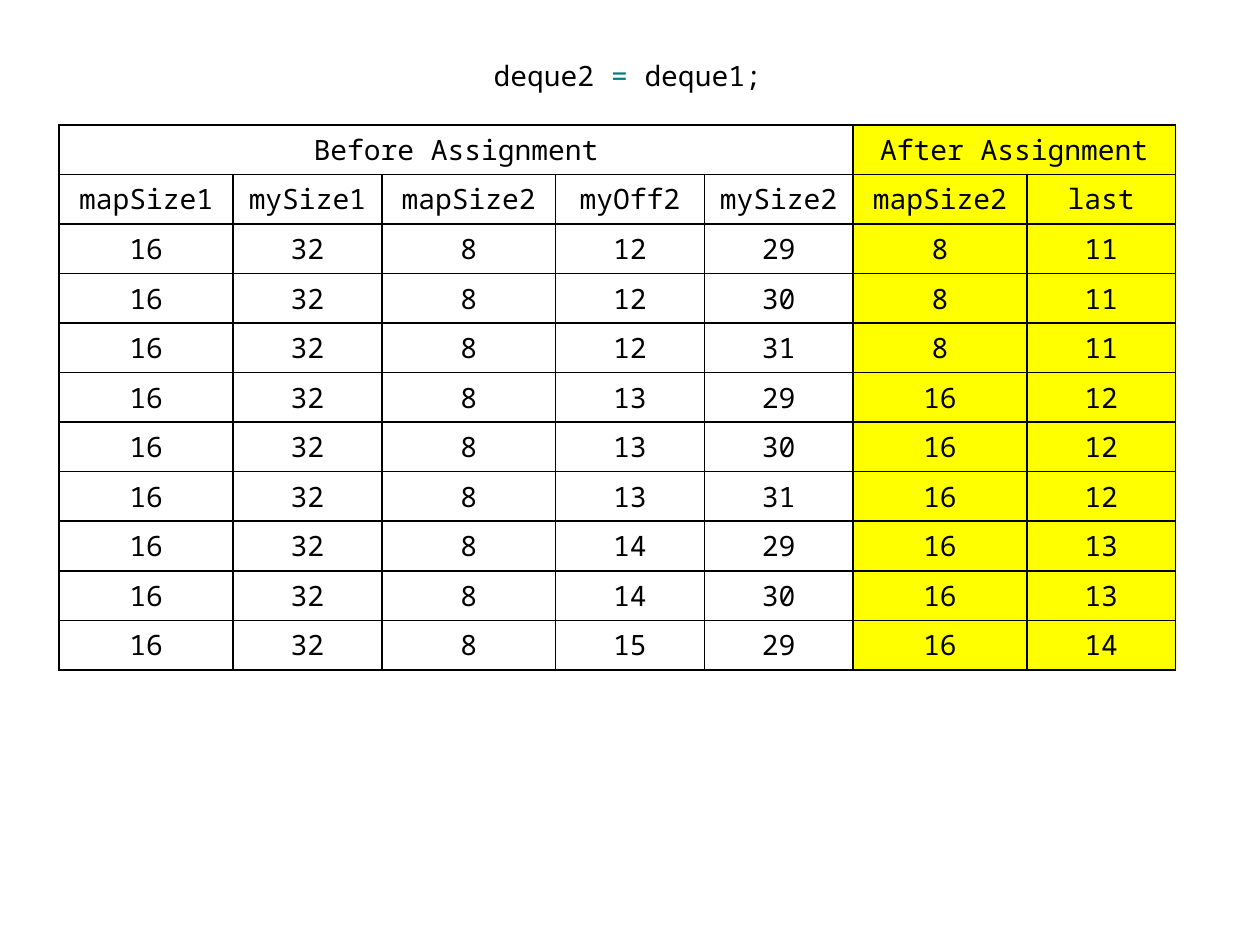
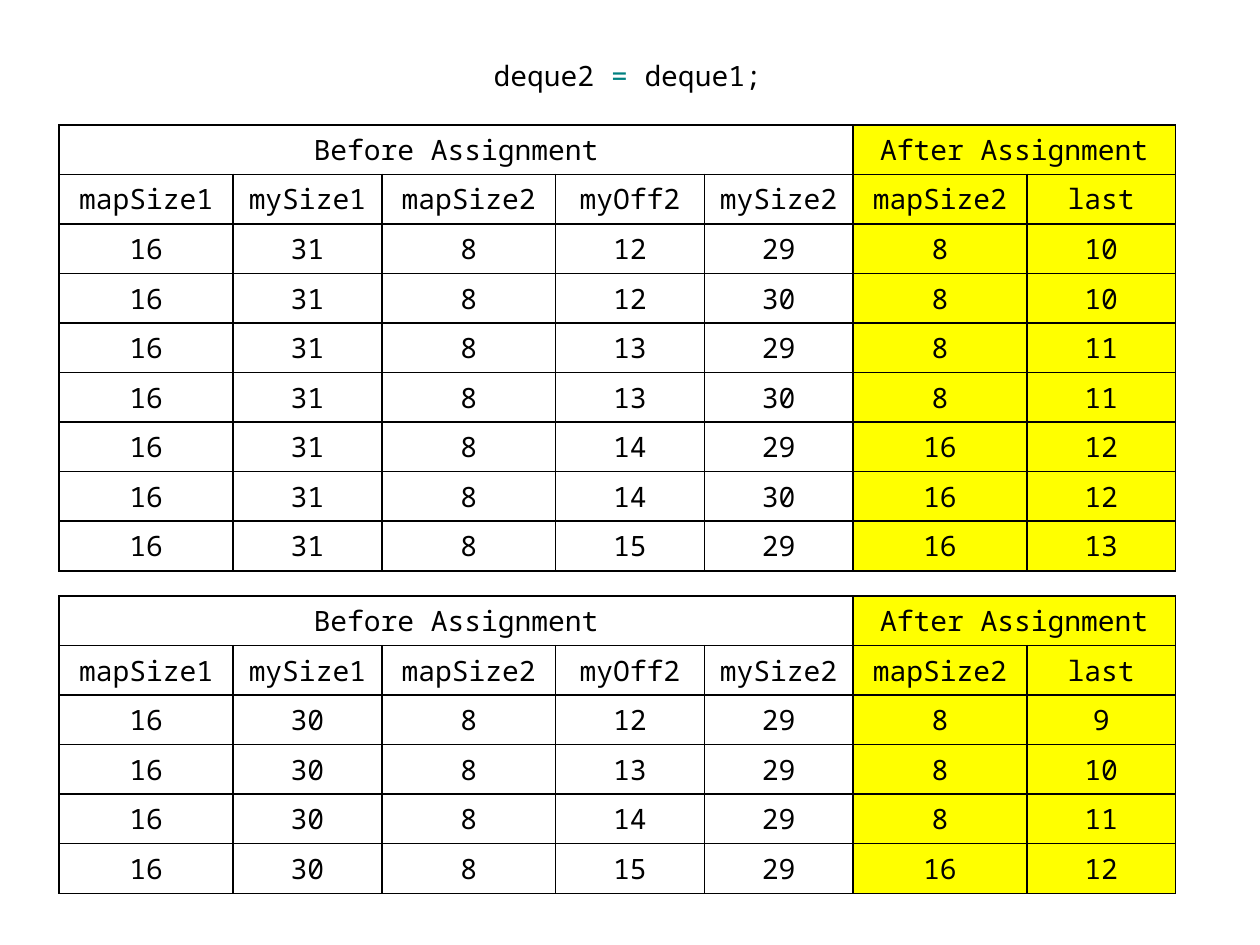
from lxml.etree import SubElement
from pptx import Presentation
from pptx.dml.color import RGBColor
from pptx.enum.text import MSO_ANCHOR, PP_ALIGN
from pptx.oxml.ns import qn
from pptx.util import Inches, Pt

BLACK = RGBColor(0x00, 0x00, 0x00)
TEAL = RGBColor(0x00, 0x80, 0x80)
YELLOW = RGBColor(0xFF, 0xFF, 0x00)
FONT = "Noto Sans Mono"
ROW_HEIGHT = Inches(4.33) // 11
COLUMN_WIDTHS = [1.38, 1.18, 1.38, 1.18, 1.18, 1.38, 1.18]
BEFORE_COLUMNS = 5
GROUP_HEADER = ["Before Assignment", "", "", "", "", "After Assignment", ""]
COLUMN_HEADER = ["mapSize1", "mySize1", "mapSize2", "myOff2", "mySize2", "mapSize2", "last"]


def add_span(para, text, color=BLACK):
    span = para.add_run()
    span.text = text
    span.font.name = FONT
    span.font.size = Pt(16)
    span.font.color.rgb = color


def add_assignment_table(page, top, size1, cases):
    rows = [GROUP_HEADER, COLUMN_HEADER]
    rows += [[16, size1, 8, *case] for case in cases]
    frame = page.shapes.add_table(
        len(rows), len(COLUMN_WIDTHS), Inches(0.47), Inches(top),
        Inches(sum(COLUMN_WIDTHS)), ROW_HEIGHT * len(rows))
    table = frame.table
    table.first_row = False
    table.horz_banding = False
    for column, width in zip(table.columns, COLUMN_WIDTHS):
        column.width = Inches(width)
    for row_index, values in enumerate(rows):
        table.rows[row_index].height = ROW_HEIGHT
        for column_index, value in enumerate(values):
            cell = table.cell(row_index, column_index)
            cell.margin_top = cell.margin_bottom = Inches(0.03)
            cell.vertical_anchor = MSO_ANCHOR.MIDDLE
            para = cell.text_frame.paragraphs[0]
            para.alignment = PP_ALIGN.CENTER
            if value != "":
                add_span(para, str(value))
            properties = cell._tc.get_or_add_tcPr()
            for side in ("a:lnL", "a:lnR", "a:lnT", "a:lnB"):
                border = SubElement(properties, qn(side), w=str(Pt(1)))
                paint = SubElement(border, qn("a:solidFill"))
                SubElement(paint, qn("a:srgbClr"), val=str(BLACK))
            if column_index < BEFORE_COLUMNS:
                cell.fill.background()
            else:
                cell.fill.solid()
                cell.fill.fore_color.rgb = YELLOW
    table.cell(0, 0).merge(table.cell(0, BEFORE_COLUMNS - 1))
    table.cell(0, BEFORE_COLUMNS).merge(table.cell(0, len(COLUMN_WIDTHS) - 1))


deck = Presentation()
deck.slide_width = Inches(10)
deck.slide_height = Inches(7.5)

slides = [
    [
        (0.99, 32, [
            (12, 29, 8, 11), (12, 30, 8, 11), (12, 31, 8, 11),
            (13, 29, 16, 12), (13, 30, 16, 12), (13, 31, 16, 12),
            (14, 29, 16, 13), (14, 30, 16, 13), (15, 29, 16, 14),
        ]),
    ],
    [
        (0.99, 31, [
            (12, 29, 8, 10), (12, 30, 8, 10), (13, 29, 8, 11), (13, 30, 8, 11),
            (14, 29, 16, 12), (14, 30, 16, 12), (15, 29, 16, 13),
        ]),
        (4.73, 30, [
            (12, 29, 8, 9), (13, 29, 8, 10), (14, 29, 8, 11), (15, 29, 16, 12),
        ]),
    ],
]

for tables in slides:
    page = deck.slides.add_slide(deck.slide_layouts[6])
    box = page.shapes.add_textbox(Inches(3.82), Inches(0.4), Inches(2.36), Inches(0.39))
    box.text_frame.word_wrap = True
    box.text_frame.vertical_anchor = MSO_ANCHOR.MIDDLE
    title = box.text_frame.paragraphs[0]
    add_span(title, "deque2 ")
    add_span(title, "= ", color=TEAL)
    add_span(title, "deque1;")
    for top, size1, cases in tables:
        add_assignment_table(page, top, size1, cases)

deck.save("out.pptx")
